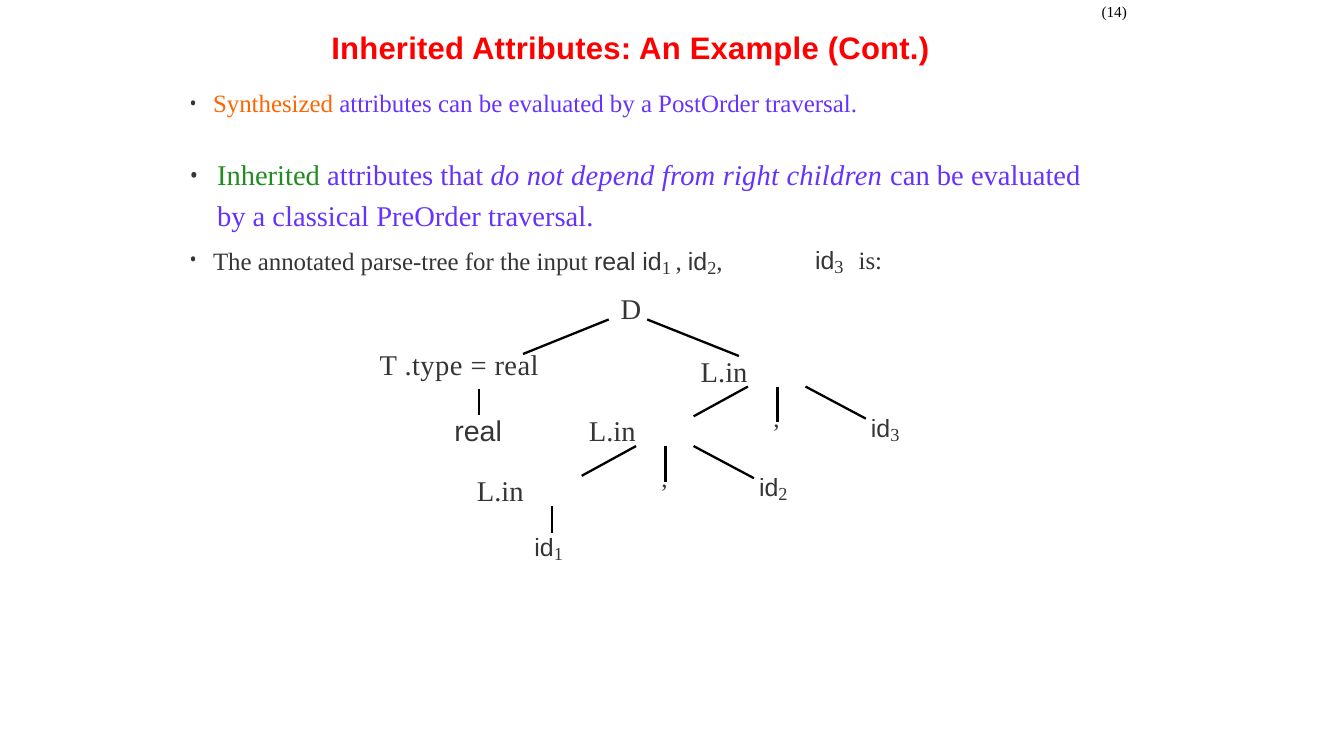
from dataclasses import dataclass
from lxml.etree import SubElement
from pptx import Presentation
from pptx.dml.color import RGBColor as RGB
from pptx.enum.shapes import MSO_CONNECTOR as CONN
from pptx.enum.text import MSO_ANCHOR as ANCHOR, PP_ALIGN as ALIGN
from pptx.oxml.ns import qn
from pptx.util import Cm, Pt


@dataclass(frozen=True)
class Theme:
    ink: RGB = RGB(0x36, 0x34, 0x35)
    black: RGB = RGB(0, 0, 0)
    red: RGB = RGB(0xFF, 0, 0)
    orange: RGB = RGB(0xFF, 0x65, 0)
    violet: RGB = RGB(0x65, 0x32, 0xFF)
    green: RGB = RGB(0x21, 0x8C, 0x21)
    serif: str = "Times New Roman"
    sans: str = "Arial"
    bullet: str = "Cambria"
    title: float = 22.2
    large: float = 20.4
    body: float = 17.8
    sub: float = 22.5
    page: float = 10.9
    line: float = 1.65


T = Theme()
STYLES = {
    "title": dict(name=T.sans, size=Pt(T.title), color=T.red, bold=True),
    "page": dict(name=T.serif, size=Pt(T.page), color=T.black),
    "text": dict(name=T.serif, size=Pt(T.body), color=T.ink),
    "code": dict(name=T.sans, size=Pt(T.body), color=T.ink),
    "sub": dict(name=T.serif, size=Pt(T.sub), color=T.ink),
    "synthesized": dict(name=T.serif, size=Pt(T.body), color=T.orange),
    "claim": dict(name=T.serif, size=Pt(T.body), color=T.violet),
    "inherited": dict(name=T.serif, size=Pt(T.large), color=T.green),
    "rule": dict(name=T.serif, size=Pt(T.large), color=T.violet),
    "stress": dict(name=T.serif, size=Pt(T.large), color=T.violet, italic=True),
    "node": dict(name=T.serif, size=Pt(T.large), color=T.ink),
    "typed": dict(name=T.serif, size=Pt(T.large), color=T.ink),
    "token": dict(name=T.sans, size=Pt(T.large), color=T.ink),
}
RUN_XML = {"sub": ("baseline", "-12000"), "title": ("spc", "18"),
           "stress": ("spc", "15"), "typed": ("spc", "30")}

TITLE = [("Inherited Attributes: An Example (Cont.)", "title")]
SYNTHESIZED = [("Synthesized ", "synthesized"),
               ("attributes can be evaluated by a PostOrder traversal.", "claim")]
INHERITED = [("Inherited ", "inherited"), ("attributes that ", "rule"),
             ("do not depend from right children ", "stress"),
             ("can be evaluated by a classical PreOrder traversal.", "rule")]
INPUT = [("The annotated parse-tree for the input ", "text"), ("real id", "code"),
         ("1 ", "sub"), (", ", "text"), ("id", "code"), ("2", "sub"), (",", "text")]


def identifier(number):
    """Return the runs of an identifier with its subscript."""
    return [("id", "code"), (str(number), "sub")]


LABELS = [
    ([("(14)", "page")], 27.76, 0.1, 11.8),
    (identifier(3), 20.54, 6.2, 22.4),
    ([("is:", "text")], 21.64, 6.17, 20.9),
    ([("D", "node")], 15.64, 7.44, 21.3),
    ([("T .type = real", "typed")], 9.57, 8.86, 21.3),
    ([("real", "token")], 11.45, 10.52, 21.1),
]
EDGES = [(15.34, 8.05, 13.18, 8.92), (16.31, 8.05, 18.62, 8.97), (12.07, 9.8, 12.07, 10.46)]
LIST_TOP = (17.63, 9.02)
LIST_STEP = (-2.82, 1.5)
LIST_IDS = (3, 2, 1)
BRANCHES = [(1.22, 0.72, -0.15, 1.47), (1.96, 0.72, 1.96, 1.62), (2.67, 0.72, 4.19, 1.53)]
LEAF_BRANCH = [(1.93, 0.74, 1.93, 1.4)]


def format_runs(p, runs):
    """Add styled runs to a paragraph."""
    for text, style in runs:
        r = p.add_run()
        r.text = text
        for key, value in STYLES[style].items():
            if key == "color":
                r.font.color.rgb = value
            else:
                setattr(r.font, key, value)
        if style in RUN_XML:
            r.font._element.set(*RUN_XML[style])


def prepare(s, left, top, width, height, wrap):
    """Place a text shape without insets and return its frame."""
    s.left, s.top, s.width, s.height = (Cm(v) for v in (left, top, width, height))
    tf = s.text_frame
    settings = dict(margin_left=0, margin_right=0, margin_top=0, margin_bottom=0,
                    word_wrap=wrap, vertical_anchor=ANCHOR.TOP)
    for key, value in settings.items():
        setattr(tf, key, value)
    return tf


def fill_paragraph(p, runs, spacing, before=1):
    """Set a paragraph's spacing and runs."""
    settings = dict(alignment=ALIGN.LEFT, line_spacing=spacing, space_before=Pt(before))
    for key, value in settings.items():
        setattr(p, key, value)
    format_runs(p, runs)


def add_bullet(p, indent):
    """Give a paragraph a hanging round bullet."""
    pPr = p._p.get_or_add_pPr()
    pPr.set("marL", str(Cm(indent)))
    pPr.set("indent", str(-Cm(indent - 0.03)))
    color = SubElement(pPr, qn("a:buClr"))
    SubElement(color, qn("a:srgbClr"), val=str(T.ink))
    SubElement(pPr, qn("a:buFont"), typeface=T.bullet)
    SubElement(pPr, qn("a:buChar"), char="•")


def add_label(slide, runs, left, top, spacing, width=5):
    """Add one line of text and return its paragraph."""
    s = slide.shapes.add_textbox(0, 0, 0, 0)
    p = prepare(s, left, top, width, 0.79, True).paragraphs[0]
    fill_paragraph(p, runs, Pt(spacing))
    return p


def add_edge(slide, x1, y1, x2, y2):
    """Draw one branch of the tree."""
    s = slide.shapes.add_connector(CONN.STRAIGHT, Cm(x1), Cm(y1), Cm(x2), Cm(y2))
    s.line.color.rgb = T.black
    s.line.width = Pt(T.line)
    SubElement(s._element.spPr, qn("a:effectLst"))


def add_list_nodes(slide):
    """Add the descending chain of list nodes with their children."""
    for level, number in enumerate(LIST_IDS):
        x, y = (start + level * step for start, step in zip(LIST_TOP, LIST_STEP))
        leaf = number == 1
        add_label(slide, [("L.in", "node")], x + 0.03, y, 21.3)
        add_label(slide, identifier(number), x + (1.48 if leaf else 4.32), y + 1.4, 22.4)
        if not leaf:
            add_label(slide, [(",", "text")], x + 1.86, y + 1.15, 20.9)
        for x1, y1, x2, y2 in LEAF_BRANCH if leaf else BRANCHES:
            add_edge(slide, x + x1, y + y1, x + x2, y + y2)


def main():
    """Build the slide and save it."""
    prs = Presentation()
    prs.slide_width, prs.slide_height = Cm(33.87), Cm(19.05)
    slide = prs.slides.add_slide(prs.slide_layouts[5])
    tf = prepare(slide.shapes.title, 8.35, 0.85, 16.4, 0.83, True)
    fill_paragraph(tf.paragraphs[0], TITLE, Pt(23.1))

    tf = prepare(slide.shapes.add_textbox(0, 0, 0, 0), 4.7, 2.21, 22.9, 3.4, True)
    p = tf.paragraphs[0]
    fill_paragraph(p, SYNTHESIZED, Pt(21.1))
    add_bullet(p, 0.67)
    p = tf.add_paragraph()
    fill_paragraph(p, INHERITED, 1.2, 23.3)
    add_bullet(p, 0.77)

    add_bullet(add_label(slide, INPUT, 4.7, 6.2, 23.1, 15.8), 0.67)
    for label in LABELS:
        add_label(slide, *label)
    for edge in EDGES:
        add_edge(slide, *edge)
    add_list_nodes(slide)
    prs.save("out.pptx")


if __name__ == "__main__":
    main()
